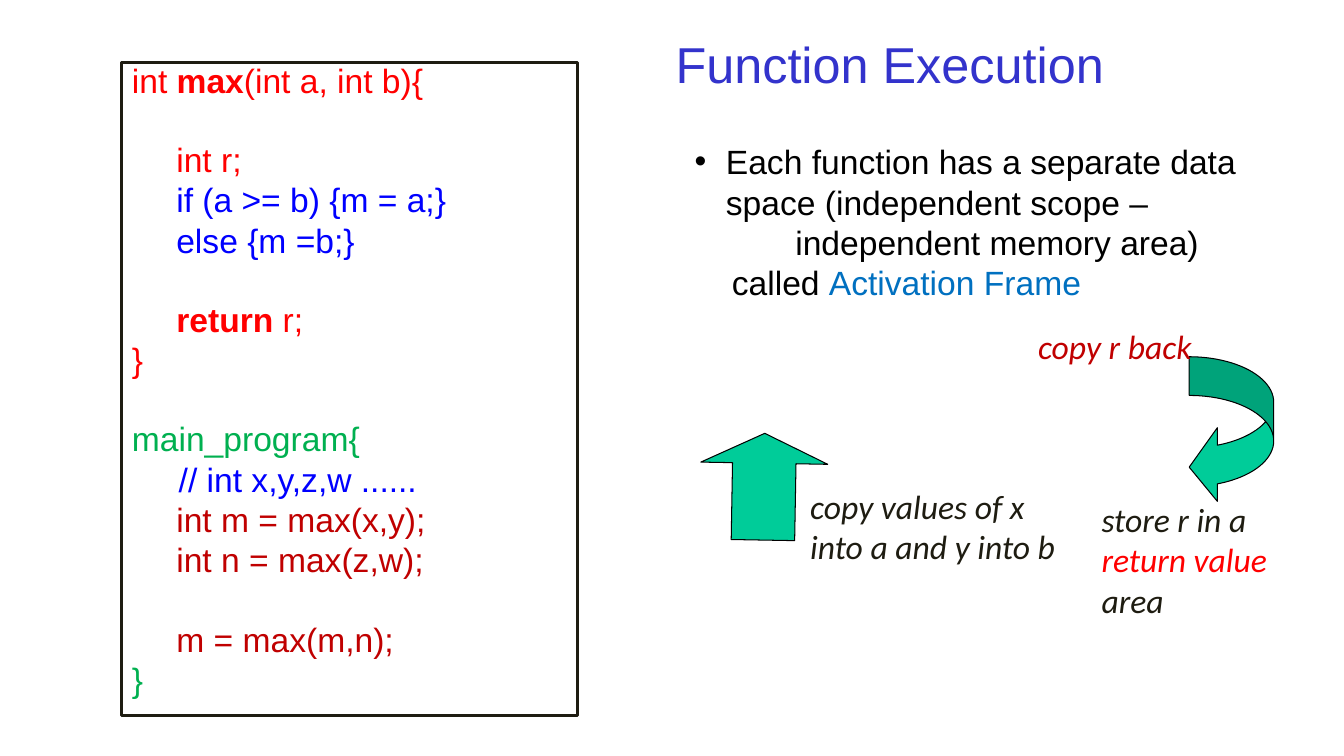
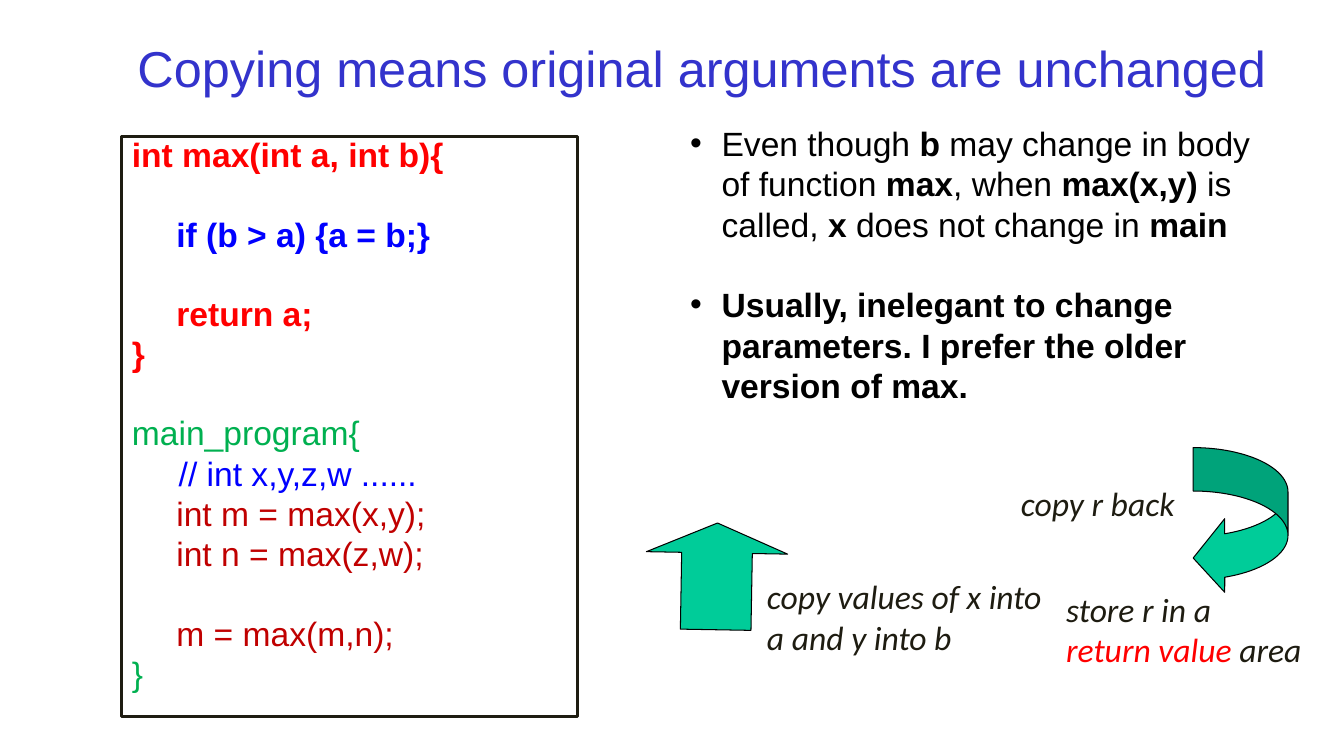
from dataclasses import dataclass

from lxml.etree import SubElement
from pptx import Presentation
from pptx.dml.color import RGBColor
from pptx.enum.shapes import MSO_SHAPE as SHAPE
from pptx.enum.text import MSO_ANCHOR as ANCHOR, MSO_AUTO_SIZE as AUTO, PP_ALIGN as ALIGN
from pptx.oxml.ns import qn
from pptx.util import Cm, Pt


# Theme
@dataclass(frozen=True)
class Theme:
    title: str = "3333CC"
    ink: str = "1E1C11"
    black: str = "000000"
    red: str = "FF0000"
    dark_red: str = "C00000"
    blue: str = "0000FF"
    sky: str = "0070C0"
    green: str = "00B050"
    arrow: str = "00CC99"
    sans: str = "Arial"
    label: str = "Calibri"
    title_size: int = 36
    text_size: int = 24
    line: float = 28.8
    code_line: float = 0.8
    code_gap: float = 5.75
    code_pitch: float = 27.85
    tab: float = 1.12


T = Theme()


def style(r, color, bold=False, italic=False, font=T.sans, size=T.text_size):
    r.font.name, r.font.size = font, Pt(size)
    r.font.bold, r.font.italic = bold, italic
    r.font.color.rgb = RGBColor.from_string(color)


def write(tf, rows, spacing, gap=0, pitch=T.line, **look):
    """Each row: left indent in cm, blank lines above, bullet, then its runs."""
    tf.word_wrap, tf.auto_size, tf.vertical_anchor = True, AUTO.NONE, ANCHOR.TOP
    for i, (indent, blanks, bullet, *runs) in enumerate(rows):
        p = tf.paragraphs[0] if i == 0 else tf.add_paragraph()
        for text, color, *bold in runs:
            r = p.add_run()
            r.text = text
            style(r, color, bold=bool(bold), **look)
        p.alignment, p.line_spacing = ALIGN.LEFT, spacing
        p.space_before = Pt(gap + blanks * pitch if i else 0)
        pPr = p._p.get_or_add_pPr()
        pPr.set("marL", str(Cm(indent)))
        pPr.set("indent", str(Cm(-indent if bullet else 0)))
        if not bullet:
            SubElement(pPr, qn("a:buNone"))


# Content shared by both slides
B = "bold"
main_code = [
    (0, 1, False, ("main_program{", T.green)),
    (1.18, 0, False, ("// int x,y,z,w ......", T.blue)),
    (T.tab, 0, False, ("int m = max(x,y);", T.dark_red)),
    (T.tab, 0, False, ("int n = max(z,w);", T.dark_red)),
    (T.tab, 1, False, ("m = max(m,n);", T.dark_red)),
    (0, 0, False, ("}", T.green)),
]
copy_in = [("copy values of x into a and y into b", T.ink)]
store = [("store r in a ", T.ink), ("return value ", T.red), ("area", T.ink)]

# Content of each slide; boxes are left, top, width, height in cm
slides = [
    dict(
        title="Function Execution",
        title_box=(16.71, 0.66, 11.43, 1.88),
        code_box=(3.07, 1.57, 11.48, 16.46),
        code=[
            (0, 0, False, ("int ", T.red), ("max", T.red, B), ("(int a, int b){", T.red)),
            (T.tab, 1, False, ("int r;", T.red)),
            (T.tab, 0, False, ("if (a >= b) {m = a;}", T.blue)),
            (T.tab, 0, False, ("else {m =b;}", T.blue)),
            (T.tab, 1, False, ("return ", T.red, B), ("r;", T.red)),
            (0, 0, False, ("}", T.red)),
        ],
        list_box=(17.25, 3.43, 14.68, 6.4),
        points=[
            (0.79, 0, True, ("Each function has a separate data space "
                             "(independent scope –", T.black)),
            (2.54, 0, False, ("independent memory area)", T.black)),
            (0.94, 0, False, ("called ", T.black), ("Activation Frame", T.sky)),
        ],
        return_arrow=(29.97, 8.99, 2.13, 3.71),
        up_arrow=(17.65, 10.92, 3.2, 2.69),
        labels=[
            ((25.91, 8.08, 5.74, 1.27), [("copy r back", T.dark_red)]),
            ((20.17, 12.12, 6.73, 2.31), copy_in),
            ((27.51, 12.45, 4.72, 3.33), store),
        ],
    ),
    dict(
        title="Copying means original arguments are unchanged",
        title_box=(2.03, 0.41, 31.32, 2.57),
        code_box=(3.07, 3.45, 11.48, 14.6),
        code=[
            (0, 0, False, ("int max(int a, int b){", T.red, B)),
            (T.tab, 1, False, ("if (b > a) {a = b;}", T.blue, B)),
            (T.tab, 1, False, ("return a;", T.red, B)),
            (0, 0, False, ("}", T.red, B)),
        ],
        list_box=(17.14, 2.97, 14.68, 8.46),
        points=[
            (0.79, 0, True, ("Even though ", T.black), ("b", T.black, B),
             (" may change in body of function ", T.black), ("max", T.black, B),
             (", when ", T.black), ("max(x,y)", T.black, B),
             (" is called, ", T.black), ("x", T.black, B),
             (" does not change in ", T.black), ("main", T.black, B)),
            (0.79, 1, True, ("Usually, inelegant to change parameters. "
                             "I prefer the older version of max.", T.black, B)),
        ],
        return_arrow=(30.07, 11.28, 2.39, 3.71),
        up_arrow=(16.28, 13.18, 3.56, 2.69),
        labels=[
            ((25.48, 12.04, 6.43, 1.27), [("copy r back", T.ink)]),
            ((19.08, 14.4, 7.52, 2.31), copy_in),
            ((26.62, 14.71, 6.45, 3.33), store),
        ],
    ),
]

prs = Presentation()
prs.slide_width, prs.slide_height = Cm(33.87), Cm(19.05)

for content in slides:
    s = prs.slides.add_slide(prs.slide_layouts[3])
    title, code, points = s.placeholders
    for sp, box in ((title, "title_box"), (code, "code_box"), (points, "list_box")):
        sp.left, sp.top, sp.width, sp.height = map(Cm, content[box])

    # Title
    tf = title.text_frame
    tf.text = content["title"]
    tf.auto_size, tf.vertical_anchor = AUTO.NONE, ANCHOR.MIDDLE
    p = tf.paragraphs[0]
    p.alignment = ALIGN.CENTER
    style(p.runs[0], T.title, size=T.title_size)

    # Framed code and bullet list
    code.line.color.rgb = RGBColor.from_string(T.ink)
    code.line.width = Pt(2.25)
    write(code.text_frame, content["code"] + main_code, T.code_line,
          gap=T.code_gap, pitch=T.code_pitch)
    write(points.text_frame, content["points"], Pt(T.line))

    # Arrows for values copied in and back
    for kind, name, adjustments, turn in (
        (SHAPE.CURVED_LEFT_ARROW, "return_arrow", (0.458, 0.917, 0.333), 0),
        (SHAPE.UP_ARROW, "up_arrow", (0.5, 0.28), 1),
    ):
        sp = s.shapes.add_shape(kind, *map(Cm, content[name]))
        for i, value in enumerate(adjustments):
            sp.adjustments[i] = value
        sp.rotation = turn
        sp.shadow.inherit = False
        sp.fill.solid()
        sp.fill.fore_color.rgb = RGBColor.from_string(T.arrow)
        sp.line.color.rgb = RGBColor.from_string(T.black)
        sp.line.width = Pt(0.75)

    # Arrow labels
    for box, runs in content["labels"]:
        tf = s.shapes.add_textbox(*map(Cm, box)).text_frame
        write(tf, [(0, 0, False, *runs)], Pt(T.line), font=T.label, italic=True)

prs.save("out.pptx")
